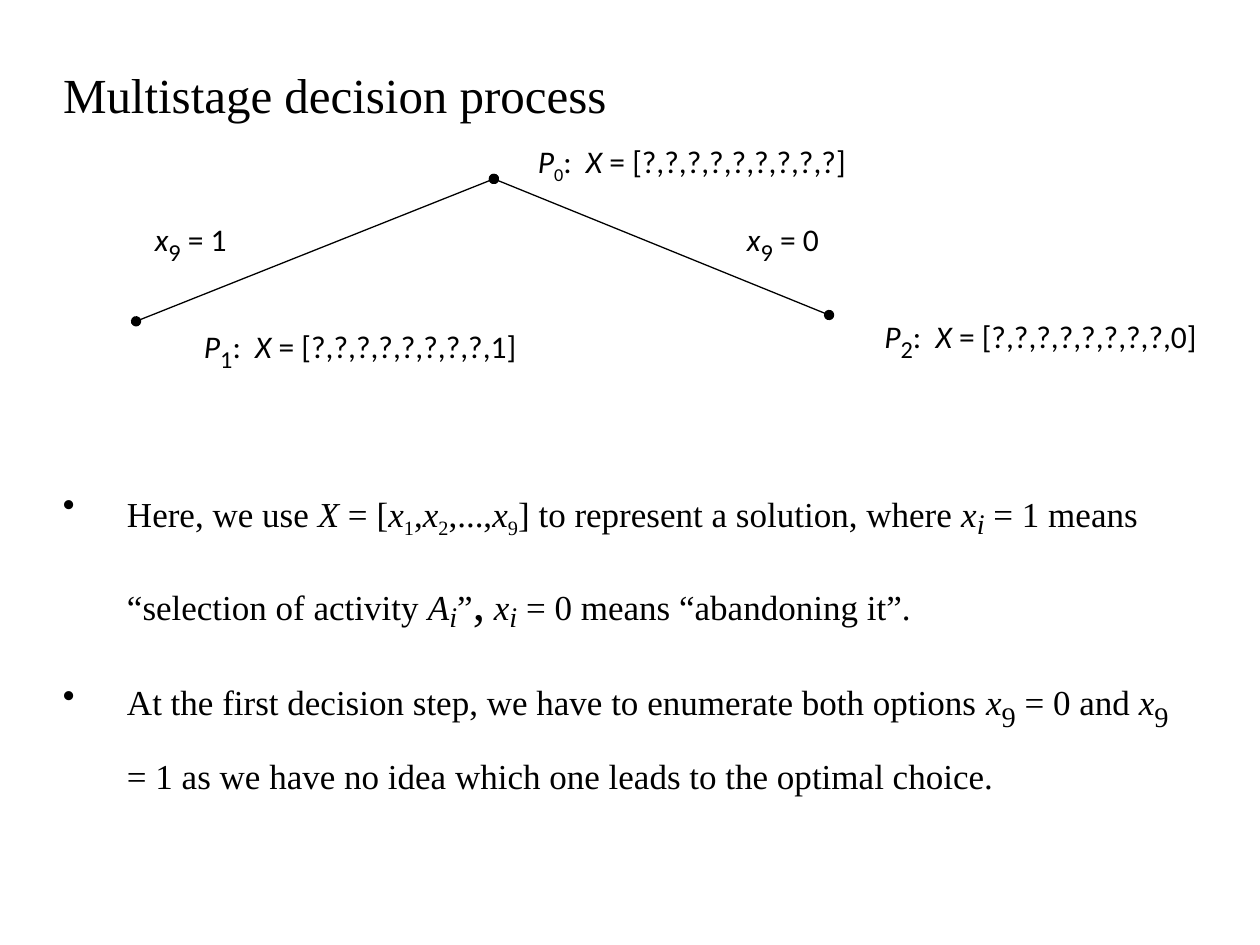
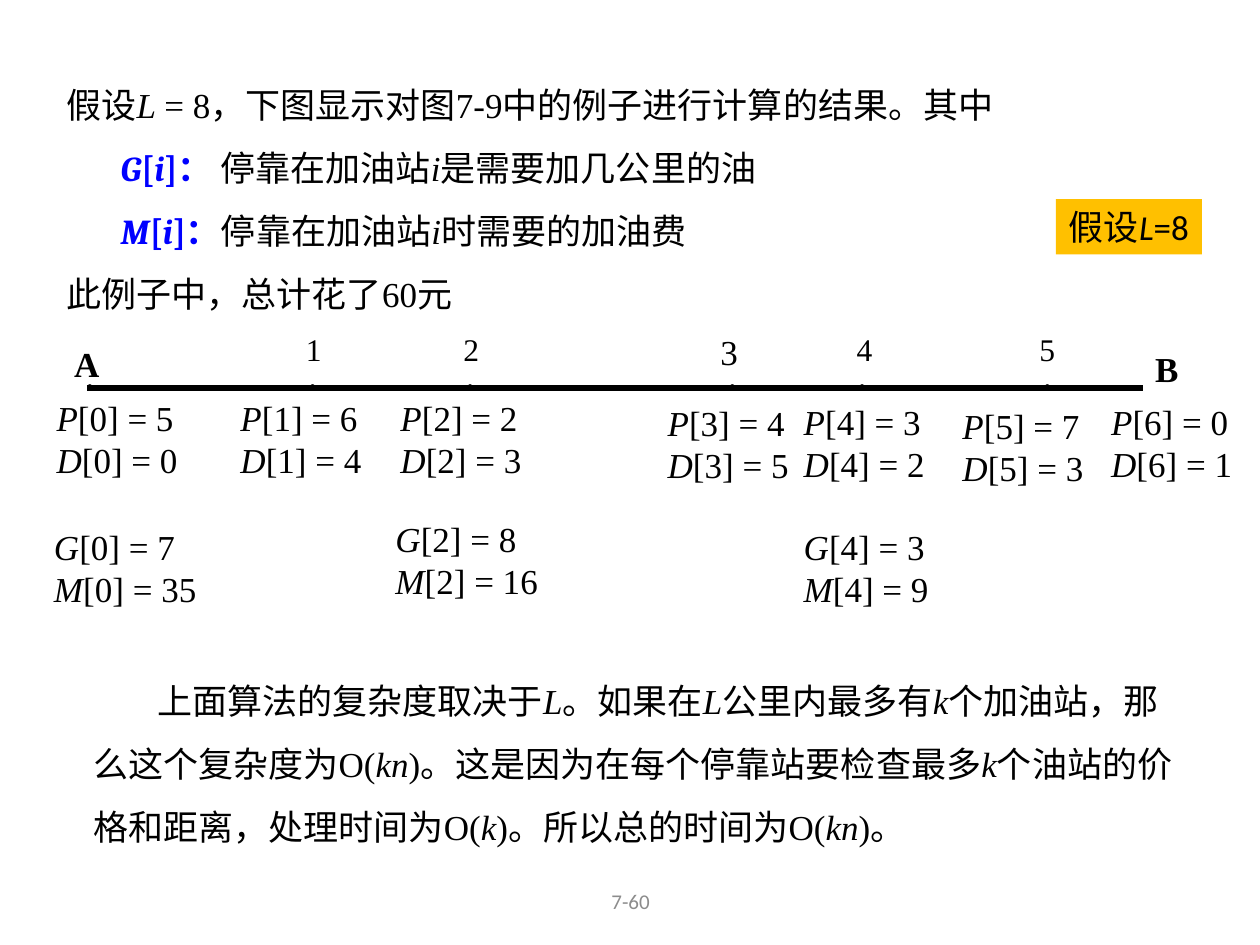
from dataclasses import dataclass, replace
from typing import NamedTuple

from lxml.etree import SubElement
from pptx import Presentation
from pptx.dml.color import RGBColor
from pptx.enum.shapes import MSO_CONNECTOR as Link, MSO_SHAPE as Form
from pptx.enum.text import MSO_ANCHOR as Anchor, MSO_AUTO_SIZE as Fit, PP_ALIGN as Align
from pptx.oxml.ns import qn
from pptx.util import Inches, Pt

BLACK, BLUE, GOLD, GREY = "000000", "0000FF", "FFC000", "8C8C8C"
SERIF, SANS, TERM = "Times New Roman", "Calibri", "Cambria"
INDENT = 0.51


class Box(NamedTuple):
    """Left, top, width and height in inches."""
    left: float
    top: float
    width: float
    height: float


class Spot(NamedTuple):
    """A point in inches."""
    x: float
    y: float


@dataclass(frozen=True)
class Look:
    """How a text is set."""
    size: float = 20
    font: str = SERIF
    ink: str = BLACK
    bold: bool = False
    big: float = 28
    align: Align = Align.LEFT
    anchor: Anchor = Anchor.TOP
    space: float = 1.0
    margin: float = 0
    first: float = 0
    bullet: str = ""
    wrap: bool = True


@dataclass(frozen=True)
class Note:
    """A text and its place."""
    box: Box
    text: str


@dataclass(frozen=True)
class Stop:
    """A fuel station on the road."""
    price: int
    gap: int
    left: float
    top: float
    dot: float = 0
    label: float = 0
    size: float = 18


@dataclass(frozen=True)
class Fill:
    """Fuel bought at a station."""
    stop: int
    fuel: int
    cost: int
    left: float
    top: float


PLAIN = Look()
LABEL = Look(size=18, font=SANS, big=24)
BODY = Look(space=1.5, margin=INDENT, first=-INDENT, bullet="•")
PROSE = Look(space=1.5, first=INDENT)
TERMS = replace(PROSE, first=0.94)
MID = Look(font=SANS, align=Align.CENTER, anchor=Anchor.MIDDLE)
PAGE = replace(MID, size=12, ink=GREY)
BADGE = replace(MID, wrap=False)

NODES = [
    Note(Box(4.17, 1.08, 3.87, 0.4), "*P*_0_:  *X* = [?,?,?,?,?,?,?,?,?]"),
    Note(Box(1.13, 1.61, 1.28, 0.4), "*x*~9~ = 1"),
    Note(Box(5.83, 1.61, 1.28, 0.4), "*x*~9~ = 0"),
    Note(Box(1.52, 2.46, 2.78, 0.4), "*P*~1~:  *X* = [?,?,?,?,?,?,?,?,1]"),
    Note(Box(6.92, 2.38, 3, 0.71), "*P*~2~:  *X* = [?,?,?,?,?,?,?,?,0]"),
]
POINTS = [
    "Here, we use *X* = [*x*_1_,*x*_2_,...,*x*_9_] to represent a solution, where *x~i~* = 1 means "
    "“selection of activity *A~i~*”^,^ *x~i~* = 0 means “abandoning it”.",
    "At the first decision step, we have to enumerate both options *x*~9~ = 0 and *x*~9~ = 1 "
    "as we have no idea which one leads to the optimal choice.",
]
INTRO = [
    ("假设*L *= 8，下图显示对图7-9中的例子进行计算的结果。其中", PROSE),
    ("#*G*[*i*]： #停靠在加油站*i*是需要加几公里的油", TERMS),
    ("#*M*[*i*]：#停靠在加油站*i*时需要的加油费", TERMS),
    ("此例子中，总计花了60元", PROSE),
]
STOPS = [
    Stop(5, 0, 0.35, 3.1, dot=0.59),
    Stop(6, 4, 1.81, 3.1, dot=2.36, label=2.33),
    Stop(2, 3, 3.08, 3.1, dot=3.61, label=3.58),
    Stop(4, 5, 5.2, 3.14, dot=5.69, label=5.62, size=20),
    Stop(3, 2, 6.28, 3.13, dot=6.72, label=6.7),
    Stop(7, 3, 7.54, 3.16, dot=8.19, label=8.15),
    Stop(0, 1, 8.72, 3.13),
]
FILLS = [Fill(0, 7, 35, 0.33, 4.12), Fill(2, 8, 16, 3.04, 4.06), Fill(4, 3, 9, 6.28, 4.12)]
CLOSE = ("上面算法的复杂度取决于*L*。如果在*L*公里内最多有*k*个加油站，那么这个复杂度为O(*kn*)。"
         "这是因为在每个停靠站要检查最多*k*个油站的价格和距离，处理时间为O(*k*)。所以总的时间为O(*kn*)。")


def tint(ink: str) -> RGBColor:
    """Turn a hex string into a colour."""
    return RGBColor.from_string(ink)


def split(text: str) -> list[tuple[str, frozenset]]:
    """Cut at marks: * italic, _ low, ~ low and big, ^ big, # term."""
    parts, marks, word = [], frozenset(), ""
    for char in text:
        if char in "*_~^#":
            if word:
                parts.append((word, marks))
            marks, word = marks ^ {char}, ""
        else:
            word += char
    return parts + [(word, marks)] if word else parts


def write(par, text: str, look: Look) -> None:
    """Put marked text in a paragraph."""
    par.alignment, par.line_spacing = look.align, look.space
    props = par._p.get_or_add_pPr()
    props.set("marL", str(Inches(look.margin)))
    props.set("indent", str(Inches(look.first)))
    if look.bullet:
        SubElement(props, qn("a:buChar")).set("char", look.bullet)
    for word, marks in split(text):
        run = par.add_run()
        run.text = word
        font, term = run.font, "#" in marks
        font.name = TERM if term else look.font
        font.size = Pt(look.big if marks & {"~", "^"} else look.size)
        font.bold, font.italic = look.bold or term, "*" in marks
        font.color.rgb = tint(BLUE if term else look.ink)
        if marks & {"_", "~"}:
            base = -15000 if {"~", "*"} <= marks else -25000
            font._element.set("baseline", str(base))


def pour(frame, lines: list[tuple[str, Look]]) -> None:
    """Fill a text frame, one paragraph a line."""
    frame.word_wrap, frame.auto_size = lines[0][1].wrap, Fit.NONE
    frame.vertical_anchor = lines[0][1].anchor
    for num, (text, look) in enumerate(lines):
        write(frame.add_paragraph() if num else frame.paragraphs[0], text, look)


def place(slide, box: Box, *texts: str, look: Look = PLAIN) -> None:
    """Add a text box in one look."""
    shape = slide.shapes.add_textbox(*map(Inches, box))
    pour(shape.text_frame, [(text, look) for text in texts])


def join(slide, start: Spot, end: Spot, width: float, tip: str = "") -> None:
    """Draw a straight line, with tips if asked."""
    line = slide.shapes.add_connector(Link.STRAIGHT, *map(Inches, (*start, *end)))
    line.line.color.rgb, line.line.width = tint(BLACK), Pt(width)
    props = line._element.spPr
    if tip:
        for name in ("a:headEnd", "a:tailEnd"):
            SubElement(props.find(qn("a:ln")), qn(name)).set("type", tip)
    SubElement(props, qn("a:effectLst"))


def draw_tree(deck) -> None:
    """Build the slide of the decision tree."""
    slide = deck.slides.add_slide(deck.slide_layouts[5])
    title = slide.shapes.title
    title.left, title.top, title.width, title.height = map(Inches, Box(0.4, 0.46, 9.28, 0.57))
    pour(title.text_frame, [("Multistage decision process", Look(size=28))])
    place(slide, Box(0.4, 3.5, 9.1, 2.26), *POINTS, look=BODY)
    root = Spot(3.92, 1.42)
    for leaf in (Spot(1.08, 2.55), Spot(6.58, 2.5)):
        join(slide, root, leaf, 0.75, "oval")
    for node in NODES:
        place(slide, node.box, node.text, look=LABEL)


def draw_road(deck) -> None:
    """Build the slide of the fuel stops."""
    slide = deck.slides.add_slide(deck.slide_layouts[6])
    place(slide, Box(3.42, 6.95, 3.17, 0.4), "7-60", look=PAGE)
    intro = slide.shapes.add_textbox(*map(Inches, Box(-0.08, 0.45, 8.56, 2.06)))
    pour(intro.text_frame, INTRO)
    join(slide, Spot(0.69, 3.08), Spot(9.07, 3.08), 3)
    for name, box in (("A", Box(0.49, 2.67, 0.62, 0.59)), ("B", Box(9.07, 2.71, 0.57, 0.81))):
        place(slide, box, name, look=Look(bold=True))
    for num, stop in enumerate(STOPS):
        place(slide, Box(stop.left, stop.top, 1.28, 0.7),
              f"*P*[{num}] = {stop.price}", f"*D*[{num}] = {stop.gap}")
        if stop.dot:
            place(slide, Box(stop.dot, 2.93, 0.58, 0.52), "•", look=Look(size=10))
        if stop.label:
            place(slide, Box(stop.label, 2.57, 0.6, 0.58), str(num), look=Look(size=stop.size))
    for fill in FILLS:
        place(slide, Box(fill.left, fill.top, 1.45, 0.69),
              f"*G*[{fill.stop}] = {fill.fuel}", f"*M*[{fill.stop}] = {fill.cost}")
    place(slide, Box(0.64, 5.18, 8.78, 1.56), CLOSE, look=PROSE)
    badge = slide.shapes.add_shape(Form.RECTANGLE, *map(Inches, Box(8.38, 1.58, 1.16, 0.44)))
    badge.shadow.inherit = False
    badge.fill.solid()
    badge.fill.fore_color.rgb = tint(GOLD)
    badge.line.fill.background()
    frame = badge.text_frame
    frame.margin_left = frame.margin_right = Inches(0.03)
    frame.margin_top = frame.margin_bottom = Inches(0.02)
    pour(frame, [("假设*L*=8", BADGE)])


def main() -> None:
    """Build and save the deck."""
    deck = Presentation()
    deck.slide_width, deck.slide_height = Inches(10), Inches(7.5)
    draw_tree(deck)
    draw_road(deck)
    deck.save("out.pptx")


if __name__ == "__main__":
    main()
